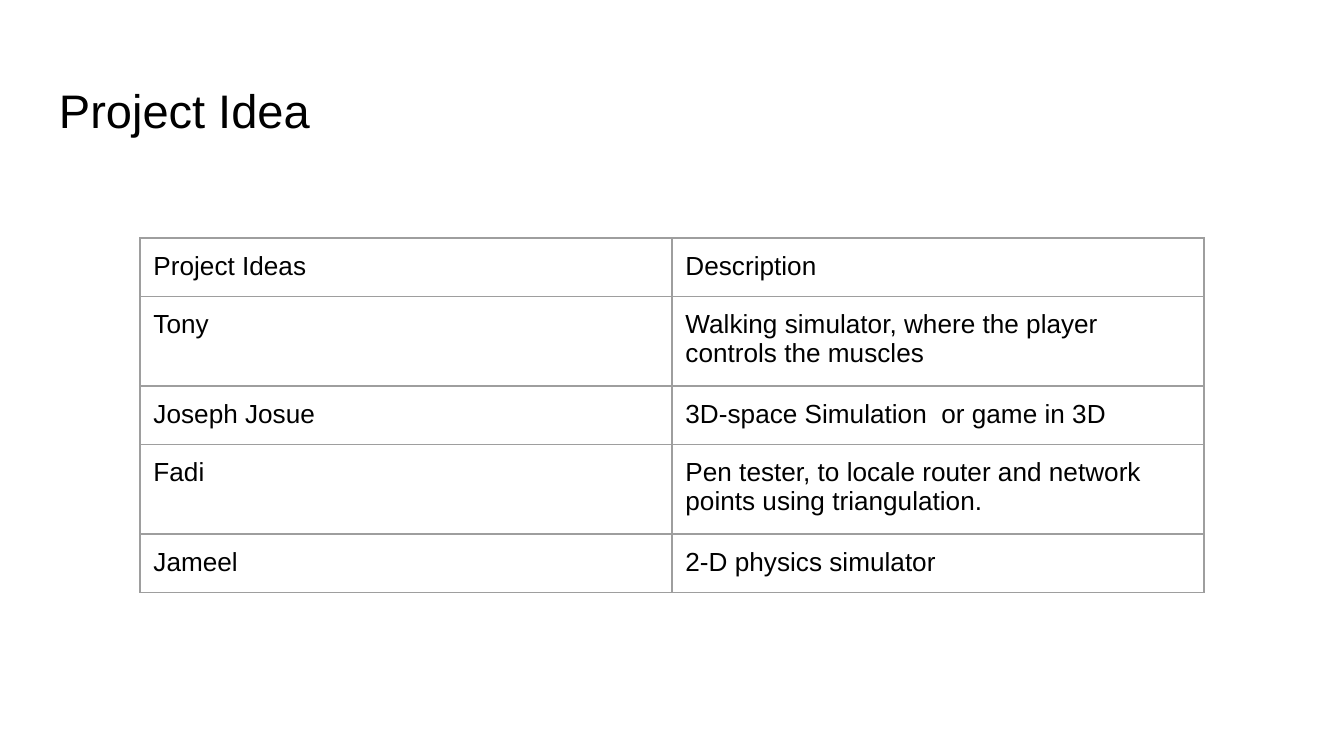
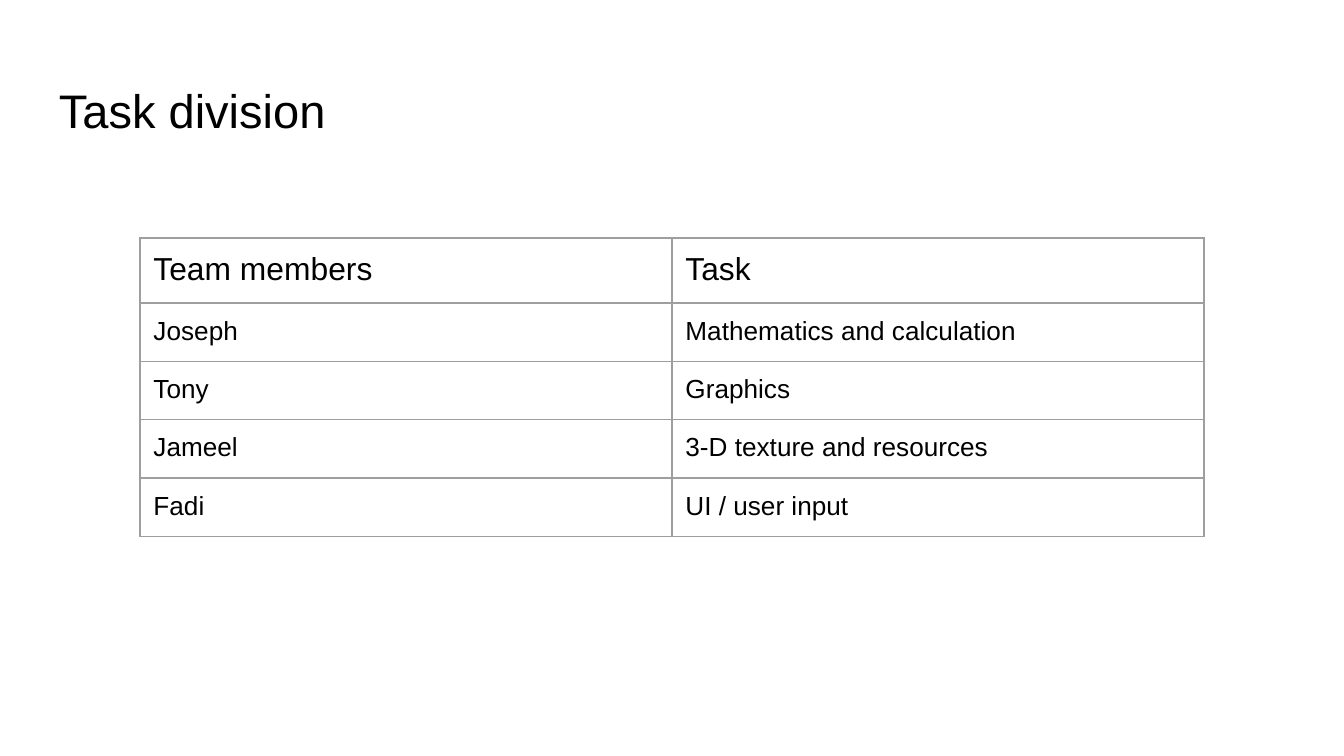
"""Build the project idea and task division slides."""
import pptx
import pptx.util
import pptx.dml.color
import pptx.enum.text
from lxml import etree
from pptx.oxml import ns

Pt = pptx.util.Pt
BLACK = pptx.dml.color.RGBColor(0x00, 0x00, 0x00)
WHITE = pptx.dml.color.RGBColor(0xFF, 0xFF, 0xFF)
BORDER_GREY = pptx.dml.color.RGBColor(0x9E, 0x9E, 0x9E)

SLIDE_SIZE = (Pt(720), Pt(405))
TITLE_BOX = (Pt(24.5), Pt(35.5), Pt(671), Pt(45.5))
TABLE_BOX = (Pt(75), Pt(127.5), Pt(570), Pt(151.2))
INSET = Pt(7.2)
MARGINS = {f"margin_{side}": INSET for side in ("left", "top", "right", "bottom")}
TITLE_FRAME = {
    **MARGINS,
    "word_wrap": True,
    "vertical_anchor": pptx.enum.text.MSO_ANCHOR.BOTTOM,
}
CELL_FORMAT = {**MARGINS, "vertical_anchor": pptx.enum.text.MSO_ANCHOR.TOP}
PLAIN_TABLE = {"first_row": False, "horz_banding": False}

SLIDES = [
    ("Project Idea", 14, [
        ("Project Ideas", "Description"),
        ("Tony", "Walking simulator, where the player controls the muscles"),
        ("Joseph Josue", "3D-space Simulation  or game in 3D"),
        ("Fadi", "Pen tester, to locale router and network points using triangulation."),
        ("Jameel", "2-D physics simulator"),
    ]),
    ("Task division", 17, [
        ("Team members", "Task"),
        ("Joseph", "Mathematics and calculation"),
        ("Tony", "Graphics"),
        ("Jameel", "3-D texture and resources"),
        ("Fadi", "UI / user input"),
    ]),
]


def apply_format(target, values):
    """Set each named attribute of the target."""
    for name, value in values.items():
        setattr(target, name, value)


def write_text(text_frame, text, size):
    """Write one black Arial paragraph."""
    paragraph = text_frame.paragraphs[0]
    run = paragraph.add_run()
    run.text = text
    apply_format(run.font, {"name": "Arial", "size": Pt(size), "bold": False})
    run.font.color.rgb = BLACK


def add_borders(cell):
    """Draw a thin grey line on all four sides of a cell."""
    properties = cell._tc.get_or_add_tcPr()
    for tag in ("a:lnL", "a:lnR", "a:lnT", "a:lnB"):
        line = etree.SubElement(properties, ns.qn(tag), w=str(Pt(0.75)))
        fill = etree.SubElement(line, ns.qn("a:solidFill"))
        etree.SubElement(fill, ns.qn("a:srgbClr"), val=str(BORDER_GREY))


def add_title(slide, box, text):
    """Place the slide title in its box."""
    text_frame = slide.shapes.add_textbox(*box).text_frame
    apply_format(text_frame, TITLE_FRAME)
    write_text(text_frame, text, 25.2)


def add_grid(slide, box, rows, header_size):
    """Fill the box with a bordered table of equal rows and columns."""
    table = slide.shapes.add_table(len(rows), len(rows[0]), *box).table
    apply_format(table, PLAIN_TABLE)
    for row_index, row in enumerate(rows):
        for column_index, text in enumerate(row):
            cell = table.cell(row_index, column_index)
            apply_format(cell, CELL_FORMAT)
            add_borders(cell)
            cell.fill.background()
            write_text(cell.text_frame, text, 14 if row_index else header_size)


def add_table_slide(presentation, title, header_size, rows):
    """Add a white slide with a title above a table."""
    slide = presentation.slides.add_slide(presentation.slide_layouts[6])
    slide.background.fill.solid()
    slide.background.fill.fore_color.rgb = WHITE
    add_title(slide, TITLE_BOX, title)
    add_grid(slide, TABLE_BOX, rows, header_size)


def main():
    """Build and save the presentation."""
    presentation = pptx.Presentation()
    presentation.slide_width, presentation.slide_height = SLIDE_SIZE
    for content in SLIDES:
        add_table_slide(presentation, *content)
    presentation.save("out.pptx")


if __name__ == "__main__":
    main()
